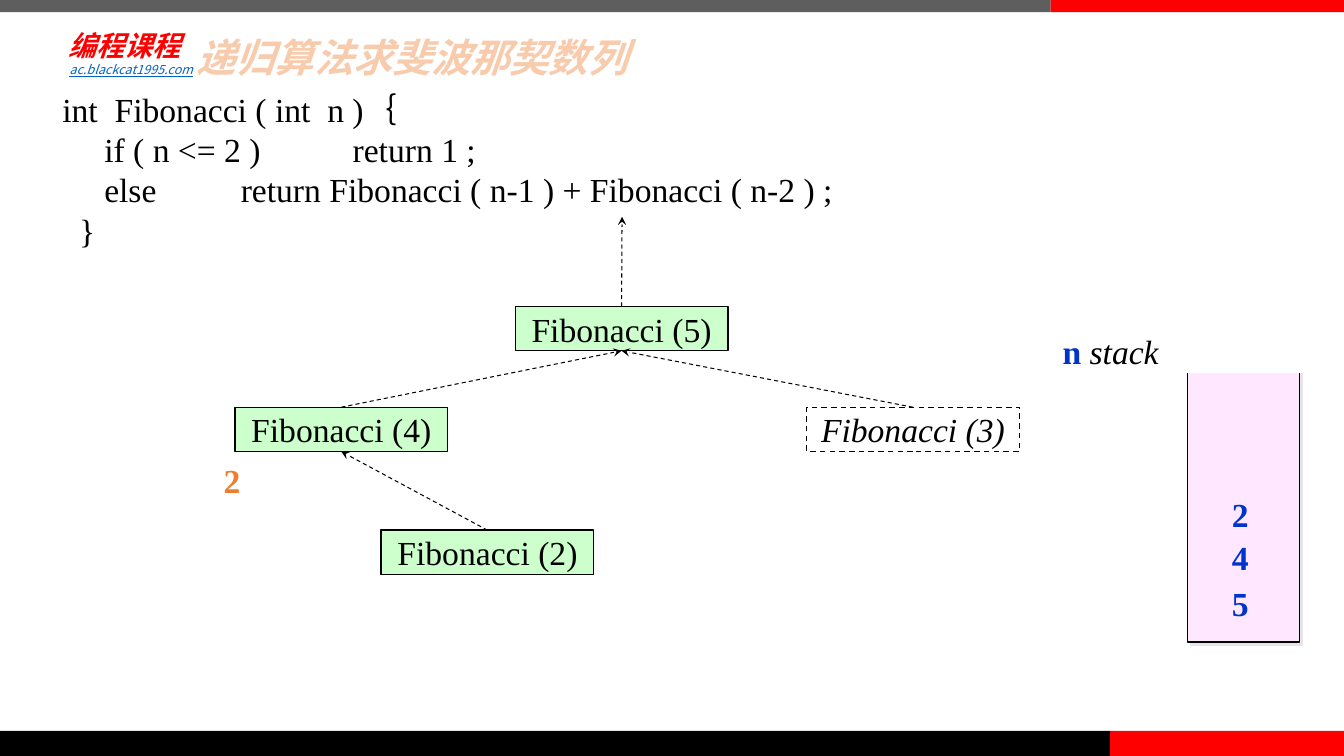
from lxml.etree import SubElement
from pptx import Presentation
from pptx.dml.color import RGBColor
from pptx.enum.dml import MSO_LINE
from pptx.enum.shapes import MSO_CONNECTOR, MSO_SHAPE
from pptx.enum.text import MSO_ANCHOR, PP_ALIGN
from pptx.oxml.ns import qn
from pptx.util import Inches, Pt

BLACK = RGBColor(0, 0, 0)
WHITE = RGBColor(255, 255, 255)
RED = RGBColor(255, 0, 0)
GRAY = RGBColor(0x5E, 0x5E, 0x5E)
GREEN = RGBColor(0xCC, 0xFF, 0xCC)
PINK = RGBColor(0xFF, 0xE7, 0xFF)
BLUE = RGBColor(0, 0x33, 0xCC)
LINK = RGBColor(0x05, 0x63, 0xC1)
ORANGE = RGBColor(0xED, 0x7D, 0x31)
PEACH = RGBColor(0xF8, 0xCB, 0xAD)
SHADE = "E7E6E6"
SERIF = "Times New Roman"
SANS = "Noto Sans CJK SC"
TOP, BOTTOM = 0, 2


class Board:
    base = {"name": SERIF, "size": Pt(24), "bold": False, "italic": False}

    def __init__(self, slide):
        self.shapes = slide.shapes

    def run(self, para, text, color=BLACK, **form):
        run = para.add_run()
        run.text = text
        for key, value in {**self.base, **form}.items():
            setattr(run.font, key, value)
        run.font.color.rgb = color
        SubElement(run.font._element, qn("a:ea"), typeface=SANS)

    def rect(self, place, fill, line=None):
        shape = self.shapes.add_shape(MSO_SHAPE.RECTANGLE, *map(Inches, place))
        shape.shadow.inherit = False
        shape.fill.solid()
        shape.fill.fore_color.rgb = fill
        if line is None:
            shape.line.fill.background()
        else:
            shape.line.color.rgb = line
            shape.line.width = Pt(1)
        return shape

    def text(self, place, text, color=BLACK, frame=None, space=1.0, **form):
        box = self.shapes.add_textbox(*map(Inches, place)).text_frame
        for key, value in {"word_wrap": True, **(frame or {})}.items():
            setattr(box, key, value)
        para = box.paragraphs[0]
        para.line_spacing = space
        self.run(para, text, color, **form)

    def code(self, place, rows):
        box = self.shapes.add_textbox(*map(Inches, place)).text_frame
        box.word_wrap = True
        for i, (text, stop) in enumerate(rows):
            para = box.add_paragraph() if i else box.paragraphs[0]
            if stop:
                tabs = SubElement(para._p.get_or_add_pPr(), qn("a:tabLst"))
                SubElement(tabs, qn("a:tab"), pos=str(Inches(stop)), algn="l")
            self.run(para, text)

    def call(self, left, top, n, done=True):
        box = self.rect((left, top, 2.11, 0.44), GREEN if done else WHITE, BLACK)
        if not done:
            box.line.dash_style = MSO_LINE.DASH
        box.text_frame.vertical_anchor = MSO_ANCHOR.MIDDLE
        para = box.text_frame.paragraphs[0]
        para.alignment = PP_ALIGN.CENTER
        self.run(para, f"Fibonacci ({n})", italic=not done)
        return box

    def arrow(self, child, parent=None, end=(0, 0)):
        line = self.shapes.add_connector(
            MSO_CONNECTOR.STRAIGHT, 0, 0, *map(Inches, end))
        line.begin_connect(child, TOP)
        if parent is not None:
            line.end_connect(parent, BOTTOM)
        line.line.color.rgb = BLACK
        line.line.width = Pt(0.75)
        line.line.dash_style = MSO_LINE.DASH
        SubElement(line.line._get_or_add_ln(), qn("a:tailEnd"), type="stealth")
        SubElement(line._element.spPr, qn("a:effectLst"))

    def stack(self, place):
        box = self.rect(place, PINK, BLACK)
        effect = box._element.spPr.find(qn("a:effectLst"))
        shade = SubElement(effect, qn("a:outerShdw"), dist=str(Pt(2.8)),
                           dir="2700000", algn="ctr", rotWithShape="0")
        SubElement(shade, qn("a:srgbClr"), val=SHADE)

    def label(self, place, name, rest):
        box = self.rect(place, WHITE).text_frame
        box.vertical_anchor = MSO_ANCHOR.MIDDLE
        para = box.paragraphs[0]
        para.alignment = PP_ALIGN.LEFT
        self.run(para, name, BLUE, bold=True)
        self.run(para, rest, italic=True)

    def digit(self, left, top, n, color=BLUE):
        self.text((left, top, 0.37, 0.39), str(n), color, space=0.7, bold=True)


def main():
    deck = Presentation()
    deck.slide_width, deck.slide_height = Inches(13.33), Inches(7.5)
    board = Board(deck.slides.add_slide(deck.slide_layouts[6]))

    for left, top, width, height, fill in (
            (0, 0, 10.42, 0.12, GRAY), (10.42, 0, 2.91, 0.12, RED),
            (0, 7.25, 11.01, 0.25, BLACK), (11.01, 7.25, 2.32, 0.25, RED)):
        board.rect((left, top, width, height), fill)

    tight = dict.fromkeys(
        ("margin_left", "margin_top", "margin_right", "margin_bottom"), Inches(0.06))
    board.text((0.62, 0.22, 1.28, 0.45), "编程课程", RED,
               {**tight, "vertical_anchor": MSO_ANCHOR.MIDDLE},
               name="Calibri", size=Pt(20), bold=True, italic=True)
    board.text((1.82, 0.35, 11.12, 0.54), "递归算法求斐波那契数列", PEACH,
               {"margin_left": Inches(0.13), "margin_top": Inches(0.07)},
               space=0.8, name=SANS, size=Pt(28), bold=True, italic=True)
    board.text((0.59, 0.56, 5.65, 0.25), "ac.blackcat1995.com", LINK,
               name=SANS, size=Pt(9), italic=True, underline=True)

    board.code((0.52, 0.83, 9, 1.72), (
        ("int  Fibonacci ( int  n )｛", None),
        ("     if ( n <= 2 )\treturn 1 ;", 2.88),
        ("     else\treturn Fibonacci ( n-1 ) + Fibonacci ( n-2 ) ;", 1.77),
        ("  }", None)))

    five = board.call(5.11, 3.04, 5)
    four = board.call(2.33, 4.04, 4)
    three = board.call(8, 4.04, 3, done=False)
    two = board.call(3.78, 5.26, 2)
    for child, parent in ((four, five), (three, five), (two, four)):
        board.arrow(child, parent)
    board.arrow(five, end=(6.17, 2.15))

    board.stack((11.78, 3.59, 1.11, 2.78))
    board.label((10.44, 3.26, 2.67, 0.44), "n ", "stack")
    for n, top in ((5, 5.84), (4, 5.39), (2, 4.96)):
        board.digit(12.12, top, n)
    board.digit(2.12, 4.62, 2, ORANGE)

    deck.save("out.pptx")


if __name__ == "__main__":
    main()
